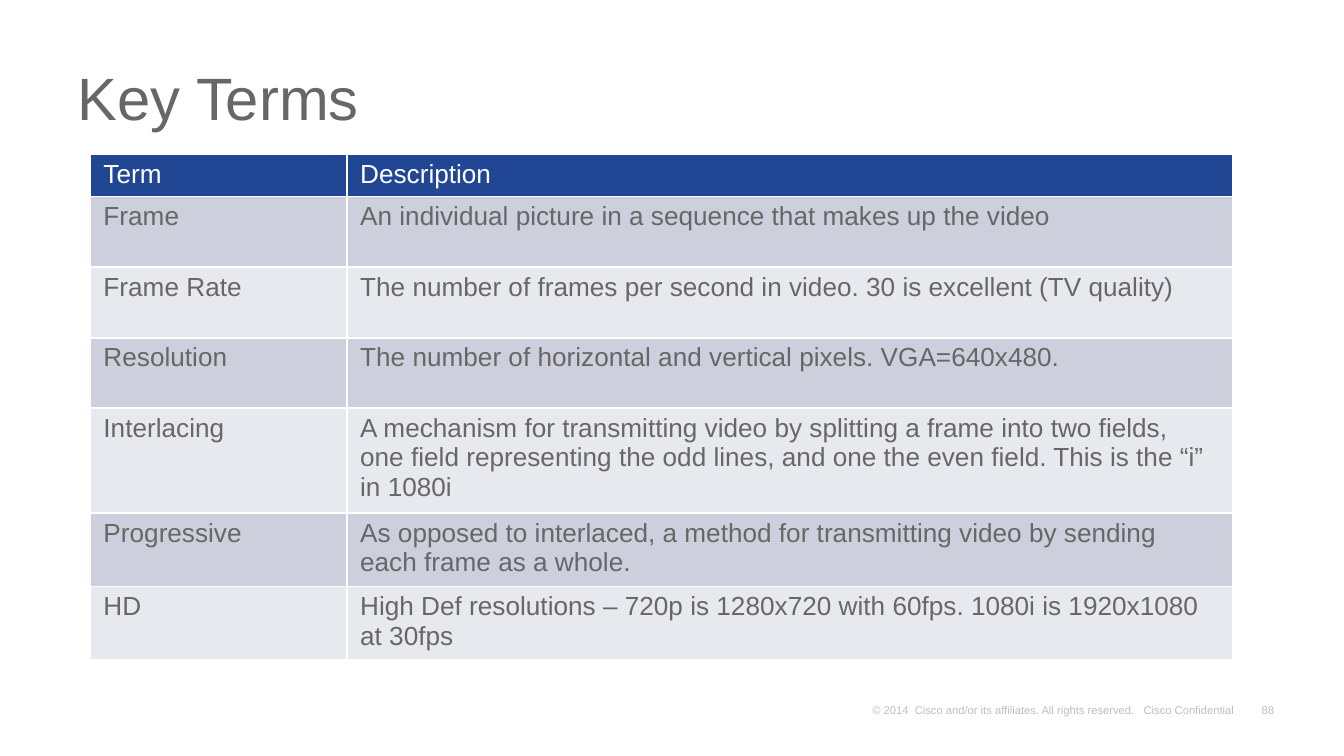
from dataclasses import dataclass
from lxml.etree import SubElement as Sub
from pptx import Presentation as Deck
from pptx.dml.color import RGBColor as Rgb
from pptx.enum.text import MSO_ANCHOR as Anchor, PP_ALIGN as Align
from pptx.oxml.ns import qn
from pptx.util import Inches, Pt


@dataclass(frozen=True)
class Theme:
    face: str = "Arial"
    ink: str = "676767"
    white: str = "FFFFFF"
    black: str = "000000"
    head: str = "214794"
    bands: tuple = ("CDCFDC", "E8E9EE")
    title: int = 32
    body: int = 14
    foot: int = 6


ONE, TWO, THREE = 0.3, 2.1 / 4, 0.75
ROWS = [
    ("Term", "Description", ONE),
    ("Frame", "An individual picture in a sequence that makes up the video", TWO),
    ("Frame Rate", "The number of frames per second in video. 30 is excellent (TV quality)", TWO),
    ("Resolution", "The number of horizontal and vertical pixels. VGA=640x480.", TWO),
    ("Interlacing", "A mechanism for transmitting video by splitting a frame into two fields, "
     "one field representing the odd lines, and one the even field. This is the “i” in 1080i", THREE),
    ("Progressive", "As opposed to interlaced, a method for transmitting video by sending "
     "each frame as a whole.", TWO),
    ("HD", "High Def resolutions – 720p is 1280x720 with 60fps. 1080i is 1920x1080 at 30fps", TWO),
]


def write(frame, text, size, color, face, align=Align.LEFT, space=None, alpha=None):
    para = frame.paragraphs[0]
    para.alignment = align
    if space:
        para.line_spacing = space
    run = para.add_run()
    run.text = text
    font = run.font
    font.name, font.size, font.bold = face, Pt(size), False
    font.color.rgb = Rgb.from_string(color)
    if alpha:
        tint = run._r.rPr.find(".//" + qn("a:srgbClr"))
        Sub(tint, qn("a:alpha"), val=str(alpha * 1000))


class Page:
    def __init__(self, slide, theme):
        self.slide = slide
        self.theme = theme

    def label(self, text, box, size, color, pad, anchor, wrap=True, **style):
        shape = self.slide.shapes.add_textbox(*map(Inches, box))
        frame = shape.text_frame
        frame.word_wrap = wrap
        frame.vertical_anchor = anchor
        frame.margin_left = frame.margin_right = Inches(pad[0])
        frame.margin_top = frame.margin_bottom = Inches(pad[1])
        write(frame, text, size, color, self.theme.face, **style)

    def title(self, text, box):
        self.label(text, box, self.theme.title, self.theme.ink, (0.1, 0.05),
                   Anchor.MIDDLE, space=0.8)

    def foot(self, text, box, **style):
        self.label(text, box, self.theme.foot, self.theme.black, (0.07, 0.03),
                   Anchor.BOTTOM, alpha=25, **style)

    def table(self, rows, left, top, widths):
        theme = self.theme
        high = sum(row[-1] for row in rows)
        box = map(Inches, (left, top, sum(widths), high))
        grid = self.slide.shapes.add_table(len(rows), len(widths), *box).table
        for col, width in zip(grid.columns, widths):
            col.width = Inches(width)
        for i, (*texts, tall) in enumerate(rows):
            grid.rows[i].height = Inches(tall)
            back = theme.bands[(i - 1) % 2] if i else theme.head
            color = theme.ink if i else theme.white
            for j, text in enumerate(texts):
                cell = grid.cell(i, j)
                cell.margin_left = cell.margin_right = Inches(0.1)
                cell.margin_top = cell.margin_bottom = Inches(0.04)
                cell.fill.solid()
                cell.fill.fore_color.rgb = Rgb.from_string(back)
                write(cell.text_frame, text, theme.body, color, theme.face)


def main():
    deck = Deck()
    deck.slide_width = Inches(10)
    deck.slide_height = Inches(10) * 9 // 16
    page = Page(deck.slides.add_slide(deck.slide_layouts[6]), Theme())
    page.foot("88", (9.31, 5.19, 0.24, 0.17), wrap=False, align=Align.RIGHT)
    page.foot("© 2014  Cisco and/or its affiliates. All rights reserved.   Cisco Confidential",
              (6.42, 5.19, 2.91, 0.17))
    page.title("Key Terms", (0.48, 0.37, 9.13, 0.8))
    page.table(ROWS, 0.67, 1.15, (1.91, 6.59))
    deck.save("out.pptx")


if __name__ == "__main__":
    main()
